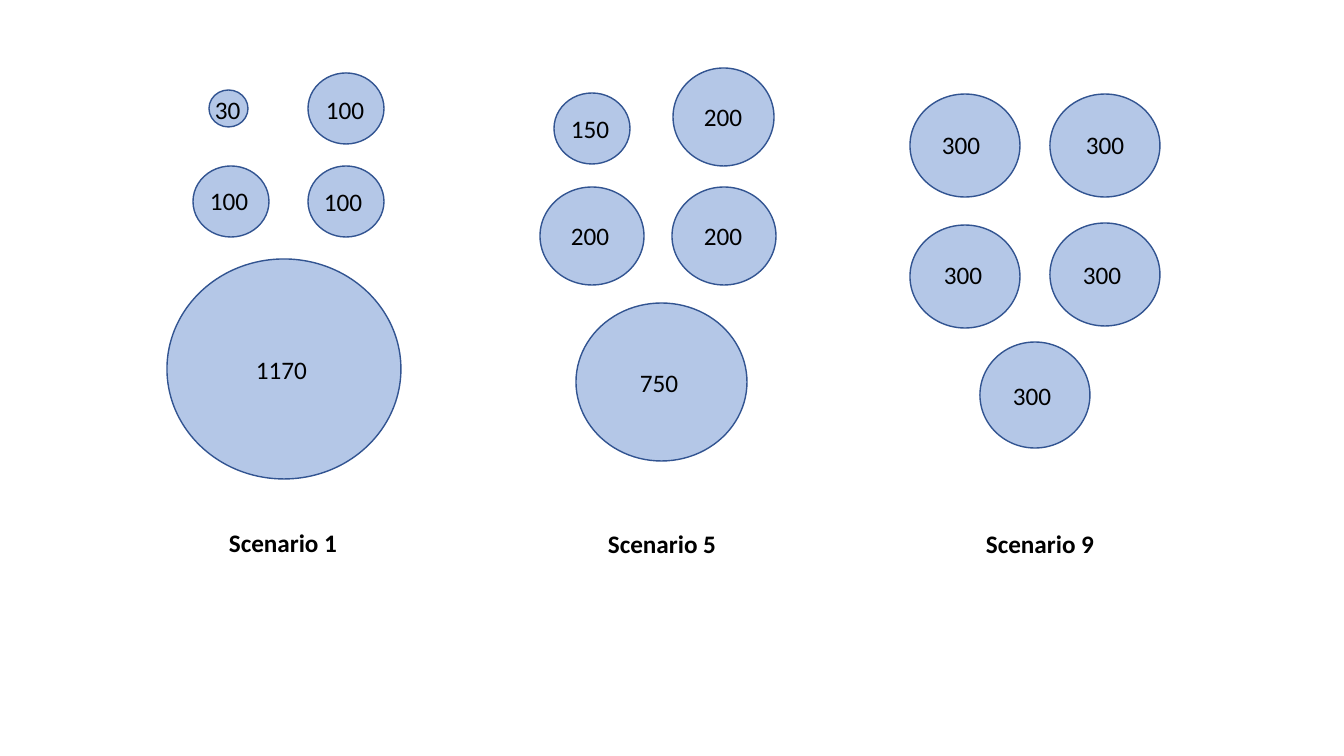
from dataclasses import dataclass

from pptx import Presentation
from pptx.dml.color import RGBColor
from pptx.enum.shapes import MSO_SHAPE
from pptx.enum.text import MSO_AUTO_SIZE
from pptx.util import Emu, Pt

OVAL = MSO_SHAPE.OVAL
GROW = MSO_AUTO_SIZE.SHAPE_TO_FIT_TEXT
EMU_PER_PIXEL = 914400 / 100.8
BLANK_LAYOUT = 6


@dataclass(frozen=True)
class Theme:
    fill: RGBColor = RGBColor(0xB4, 0xC7, 0xE7)
    outline: RGBColor = RGBColor(0x32, 0x54, 0x91)
    text: RGBColor = RGBColor(0, 0, 0)
    font: str = "Calibri"
    size: Pt = Pt(18)
    line: Pt = Pt(1)


THEME = Theme()
TEXT_HEIGHT = 40
CAPTION_WIDTH = 150

# Circle sizes shared by several circles
SIZE_100 = (76, 71)
SIZE_200 = (104, 98)
SIZE_300 = (110, 103)

# Each scenario: caption, caption place, label width and its circles
# Each circle: value, left and top, width and height, label left and top
SCENARIOS = [
    ("Scenario 1", (219, 522), 74, [
        (30, (209, 90), (39, 37), (205, 89)),
        (100, (308, 73), SIZE_100, (316, 89)),
        (100, (193, 166), SIZE_100, (200, 180)),
        (100, (308, 166), SIZE_100, (314, 181)),
        (1170, (167, 259), (234, 220), (246, 349)),
    ]),
    ("Scenario 5", (598, 523), 74, [
        (200, (673, 68), (101, 98), (694, 96)),
        (150, (554, 93), SIZE_100, (561, 108)),
        (200, (540, 187), SIZE_200, (561, 215)),
        (200, (672, 187), SIZE_200, (694, 215)),
        (750, (576, 303), (171, 158), (630, 362)),
    ]),
    ("Scenario 9", (976, 523), 66, [
        (300, (910, 94), SIZE_300, (932, 124)),
        (300, (1050, 94), SIZE_300, (1076, 124)),
        (300, (910, 225), SIZE_300, (934, 254)),
        (300, (1050, 223), SIZE_300, (1073, 254)),
        (300, (980, 342), (110, 106), (1003, 375)),
    ]),
]


def px(*lengths):
    return [Emu(round(length * EMU_PER_PIXEL)) for length in lengths]


def add_circle(page, place, size):
    circle = page.shapes.add_shape(OVAL, *px(*place, *size))
    circle.shadow.inherit = False
    circle.fill.solid()
    circle.fill.fore_color.rgb = THEME.fill
    circle.line.color.rgb = THEME.outline
    circle.line.width = THEME.line


def add_text(page, text, place, width, bold=False):
    box = page.shapes.add_textbox(*px(*place, width, TEXT_HEIGHT))
    frame = box.text_frame
    frame.word_wrap = True
    frame.auto_size = GROW
    frame.text = text
    font = frame.paragraphs[0].runs[0].font
    font.name = THEME.font
    font.size = THEME.size
    font.bold = bold
    font.color.rgb = THEME.text


def add_scenario(page, caption, caption_place, label_width, circles):
    for value, place, size, label_place in circles:
        add_circle(page, place, size)
        add_text(page, str(value), label_place, label_width)
    add_text(page, caption, caption_place, CAPTION_WIDTH, bold=True)


def main():
    deck = Presentation()
    deck.slide_width, deck.slide_height = px(1344, 756)
    page = deck.slides.add_slide(deck.slide_layouts[BLANK_LAYOUT])
    for scenario in SCENARIOS:
        add_scenario(page, *scenario)
    deck.save("out.pptx")


main()
